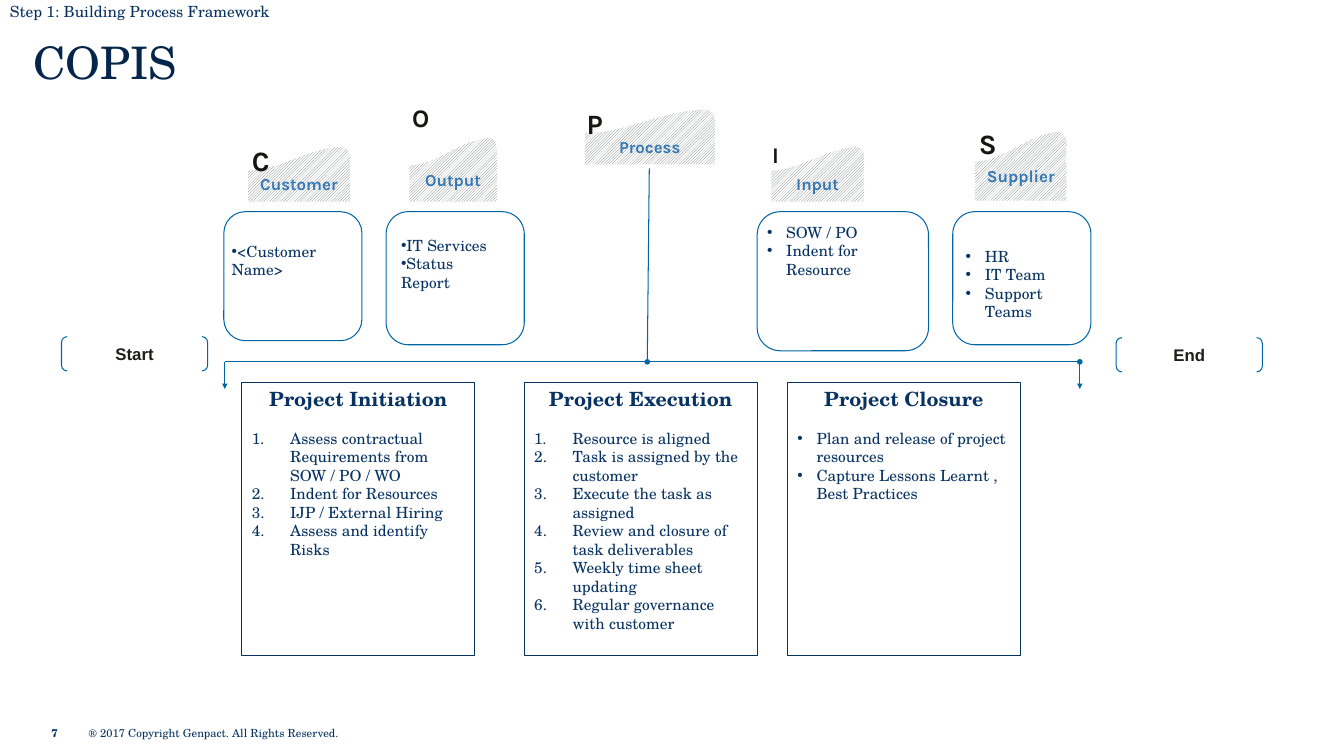
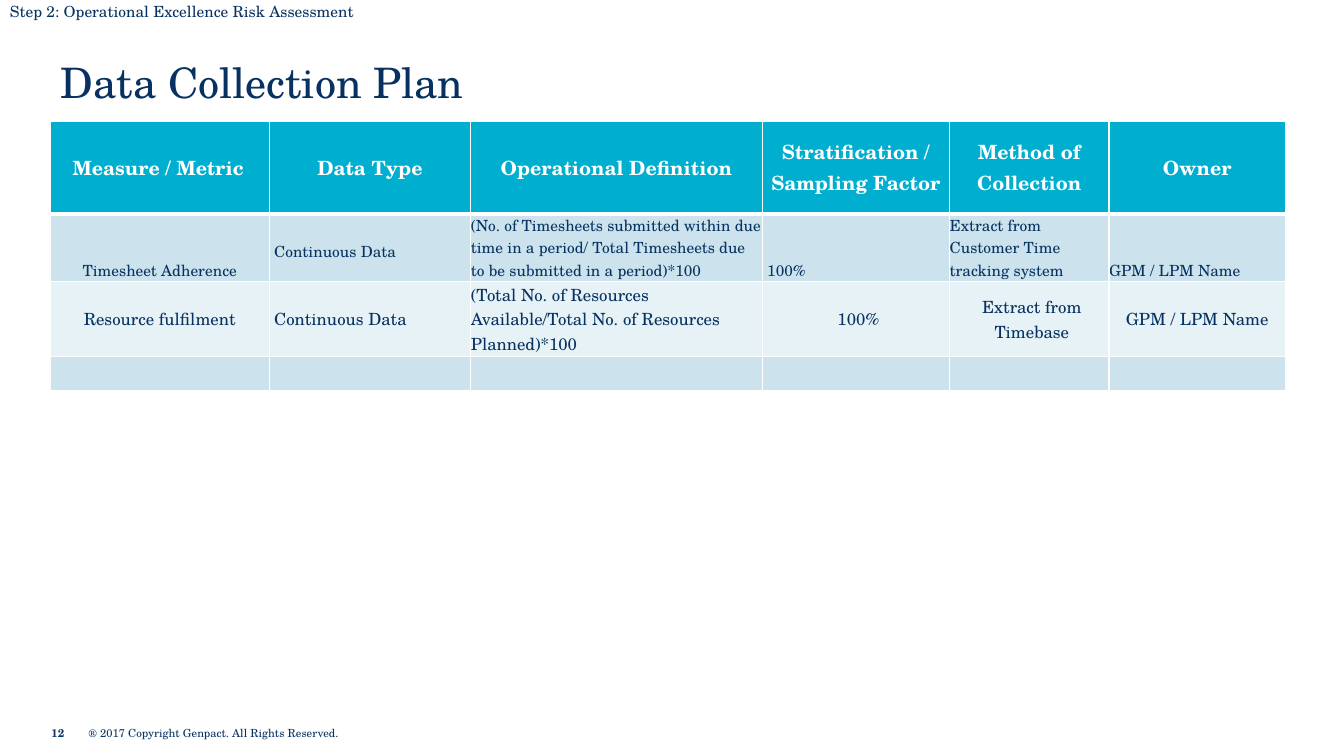
from lxml.etree import SubElement
from pptx import Presentation
from pptx.dml.color import RGBColor
from pptx.enum.dml import MSO_PATTERN
from pptx.enum.shapes import MSO_CONNECTOR, MSO_SHAPE
from pptx.enum.text import MSO_ANCHOR as Anchor, MSO_AUTO_SIZE, PP_ALIGN as Align
from pptx.oxml.ns import qn
from pptx.util import Inches, Pt

# Shared style
COLORS = {
    "navy": "073262", "title": "05254A", "plan_title": "063161",
    "line": "0067A6", "label": "3478B6", "letter": "161614", "black": "1D1D1B",
    "hatch": "747778", "white": "FFFFFF", "header": "00AECF",
    "band": "CCE3ED", "light": "E7F2F6",
}
SERIF, SANS, LABEL = "TeX Gyre Schola", "Arial", "Karla"
WIDTH, HEIGHT = 13.33, 7.5
INSETS = (0.1, 0.05, 0.1, 0.05)
COPYRIGHT = "® 2017 Copyright Genpact. All Rights Reserved."

# Slide 1 content: letter, its size and place, label, tab box
TABS = [
    ("C", 20, (2.4, 1.37), "Customer", (2.46, 1.46, 1.01, 0.54)),
    ("O", 18, (3.99, 0.97), "Output", (4.06, 1.37, 0.87, 0.63)),
    ("P", 20, (5.72, 1.01), "Process", (5.8, 1.09, 1.29, 0.54)),
    ("I", 16, (7.56, 1.35), "Input", (7.65, 1.46, 0.92, 0.54)),
    ("S", 20, (9.61, 1.21), "Supplier", (9.67, 1.31, 0.91, 0.68)),
]
# Card box, text box, bullet indent, items
CARDS = [
    ((2.22, 2.1, 1.37, 1.28), (2.2, 2.35, 1.39, 0.47), 0, ["<Customer Name>"]),
    ((3.83, 2.1, 1.37, 1.32), (3.88, 2.29, 1.1, 0.66), 0,
     ["IT Services", "Status Report"]),
    ((7.51, 2.1, 1.7, 1.38), (7.51, 2.16, 1.7, 0.66), 0.19,
     ["SOW / PO", "Indent for Resource"]),
    ((9.45, 2.1, 1.37, 1.32), (9.48, 2.4, 1.35, 0.84), 0.19,
     ["HR", "IT Team", "Support Teams"]),
]
# Left edge, heading, numbered or not, items
PHASES = [
    (2.4, "Project Initiation", True, [
        "Assess contractual Requirements from SOW / PO / WO",
        "Indent for Resources", "IJP / External Hiring",
        "Assess and identify Risks"]),
    (5.2, "Project Execution", True, [
        "Resource is aligned", "Task is assigned by the customer",
        "Execute the task as assigned",
        "Review and closure of task deliverables",
        "Weekly time sheet updating", "Regular governance with customer"]),
    (7.81, "Project Closure", False, [
        "Plan and release of project resources",
        "Capture Lessons Learnt , Best Practices"]),
]
ENDS = [("Start", 0.61, 3.34), ("End", 11.07, 3.35)]
AXIS_LEFT, AXIS_RIGHT, AXIS_Y = 2.23, 10.71, 3.59
# From, to, head, tail
LINES = [
    ((6.44, 1.67), (6.42, AXIS_Y), None, "oval"),
    ((AXIS_RIGHT, AXIS_Y), (AXIS_LEFT, AXIS_Y), "oval", None),
    ((AXIS_LEFT, AXIS_Y), (AXIS_LEFT, 3.86), None, "triangle"),
    ((AXIS_RIGHT, AXIS_Y), (AXIS_RIGHT, 3.86), None, "triangle"),
]

# Slide 2 content
PLAN = [
    ["Measure / Metric", "Data Type", "Operational Definition",
     "Stratification / Sampling Factor", "Method of Collection", "Owner"],
    ["Timesheet Adherence", "Continuous Data",
     "(No. of Timesheets submitted within due time in a period/ Total "
     "Timesheets due to be submitted in a period)*100",
     "100%", "Extract from Customer Time tracking system", "GPM / LPM Name"],
    ["Resource fulfilment", "Continuous Data",
     "(Total No. of Resources Available/Total No. of Resources Planned)*100",
     "100%", "Extract from Timebase", "GPM / LPM Name"],
    [""] * 6,
]
COLUMN_WIDTHS = [2.17, 2, 2.89, 1.86, 1.58, 1.75]
# Height, fill, text colour, size, anchor, alignment per column
ROW_STYLES = [
    (0.92, "header", "white", 14, Anchor.MIDDLE, "lccccc"),
    (0.67, "band", "navy", 11, Anchor.BOTTOM, "clllll"),
    (0.74, "light", "navy", 12, Anchor.MIDDLE, "cllccc"),
    (0.34, "band", "navy", 11, Anchor.MIDDLE, "llllll"),
]
# Cell (row, column): left and bottom margin
CELL_MARGINS = {(0, 0): (0.22, 0), (1, 1): (0.05, 0.19), (1, 3): (0.05, 0),
                (2, 1): (0.05, 0), (2, 3): (0.05, 0), (2, 4): (0.05, 0)}


def rgb(name):
    return RGBColor.from_string(COLORS[name])


def inches(values):
    return [Inches(value) for value in values]


def add_text(paragraph, text, size, color="navy", font=SERIF, bold=False):
    run = paragraph.add_run()
    run.text = text
    run.font.size, run.font.name, run.font.bold = Pt(size), font, bold
    run.font.color.rgb = rgb(color)


def set_frame(shape, anchor=Anchor.TOP, insets=INSETS):
    frame = shape.text_frame
    frame.word_wrap, frame.auto_size = True, MSO_AUTO_SIZE.NONE
    frame.vertical_anchor = anchor
    (frame.margin_left, frame.margin_top,
     frame.margin_right, frame.margin_bottom) = inches(insets)
    return frame


def add_box(slide, box, text, size, color="navy", font=SERIF, bold=False,
            anchor=Anchor.TOP, insets=INSETS):
    shape = slide.shapes.add_textbox(*inches(box))
    paragraph = set_frame(shape, anchor, insets).paragraphs[0]
    add_text(paragraph, text, size, color, font, bold)


def add_outline(slide, kind, box, color):
    shape = slide.shapes.add_shape(kind, *inches(box))
    shape.shadow.inherit = False
    shape.fill.background()
    shape.line.color.rgb, shape.line.width = rgb(color), Pt(0.75)
    return shape


def add_item(paragraph, text, indent, numbered=False):
    properties = paragraph._p.get_or_add_pPr()
    properties.set("marL", str(Inches(indent)))
    properties.set("indent", str(-Inches(indent)))
    if numbered:
        SubElement(properties, qn("a:buAutoNum"), type="arabicPeriod")
    else:
        SubElement(properties, qn("a:buFont"), typeface=SANS)
        SubElement(properties, qn("a:buChar"), char="•")
    paragraph.alignment = Align.LEFT
    add_text(paragraph, text, 11)


def add_line(slide, start, end, head, tail):
    connector = slide.shapes.add_connector(
        MSO_CONNECTOR.STRAIGHT, *inches(start + end))
    connector.line.color.rgb, connector.line.width = rgb("line"), Pt(0.75)
    properties = connector._element.spPr
    line = properties.find(qn("a:ln"))
    for tag, kind in (("a:headEnd", head), ("a:tailEnd", tail)):
        if kind:
            SubElement(line, qn(tag), type=kind, w="sm", len="sm")
    SubElement(properties, qn("a:effectLst"))


def bend(segment, controls, width, height):
    """Turn a straight segment into a cubic curve."""
    segment.tag = qn("a:cubicBezTo")
    for index, (x, y) in enumerate(controls):
        point = SubElement(segment, qn("a:pt"), x=str(Inches(x * width)),
                           y=str(Inches(y * height)))
        segment.insert(index, point)


def add_tab(slide, box, label):
    left, top, width, height = box
    # Outline in shares of the box: sloping top, rounded corner, flat base
    shoulder = 0.43
    outline = [(0.92, 0), (1, 0.17), (1, 1), (0, 1)]
    builder = slide.shapes.build_freeform(
        Inches(left), Inches(top + shoulder * height))
    builder.add_line_segments(
        [inches((left + x * width, top + y * height)) for x, y in outline],
        close=True)
    shape = builder.convert_to_shape()
    segments = list(shape._element.iter(qn("a:lnTo")))
    bend(segments[0], [(0.31, shoulder), (0.61, 0)], width, height)
    bend(segments[1], [(0.96, 0), (1, 0.07)], width, height)
    shape.shadow.inherit = False
    shape.fill.patterned()
    shape.fill.pattern = MSO_PATTERN.LIGHT_UPWARD_DIAGONAL
    shape.fill.fore_color.rgb = rgb("hatch")
    shape.fill.back_color.rgb = rgb("white")
    shape.line.fill.background()
    paragraph = set_frame(shape, Anchor.MIDDLE, (0, 0.24, 0, 0.05)).paragraphs[0]
    paragraph.alignment = Align.CENTER
    add_text(paragraph, label, 12, "label", LABEL, True)


def start_slide(presentation, step, title, title_box, size, color, number):
    slide = presentation.slides.add_slide(presentation.slide_layouts[5])
    shape = slide.shapes.title
    shape.left, shape.top, shape.width, shape.height = inches(title_box)
    paragraph = set_frame(shape, Anchor.MIDDLE).paragraphs[0]
    paragraph.alignment = Align.LEFT
    add_text(paragraph, title, size, color)
    add_box(slide, (0, 0, 5.44, 0.27), step, 11, insets=(0.1, 0.02, 0.1, 0.05))
    # Footer
    for left, width, text, bold in ((0.51, 0.35, number, True),
                                    (0.88, 2.58, COPYRIGHT, False)):
        add_box(slide, (left, 7.15, width, 0.24), text, 8, bold=bold,
                anchor=Anchor.MIDDLE, insets=(0, 0, 0, 0))
    return slide


def build_copis(presentation):
    slide = start_slide(presentation, "Step 1: Building Process Framework",
                        "COPIS", (0.23, 0.29, 10.78, 0.64), 32, "title", "7")
    for line in LINES:
        add_line(slide, *line)
    for letter, size, place, label, box in TABS:
        add_tab(slide, box, label)
        add_box(slide, place + (0.45, 0.4), letter, size, "letter", LABEL, True)
    for box, text_box, indent, items in CARDS:
        add_outline(slide, MSO_SHAPE.ROUNDED_RECTANGLE, box, "line")
        frame = set_frame(slide.shapes.add_textbox(*inches(text_box)))
        for index, item in enumerate(items):
            paragraph = frame.add_paragraph() if index else frame.paragraphs[0]
            add_item(paragraph, item, indent)
    for text, left, top in ENDS:
        shape = add_outline(slide, MSO_SHAPE.DOUBLE_BRACKET,
                            (left, top, 1.45, 0.34), "line")
        paragraph = set_frame(shape, Anchor.MIDDLE).paragraphs[0]
        paragraph.alignment = Align.CENTER
        add_text(paragraph, text, 12, "black", SANS, True)
    # Project phases
    for left, heading, numbered, items in PHASES:
        shape = add_outline(slide, MSO_SHAPE.RECTANGLE,
                            (left, 3.79, 2.31, 2.71), "navy")
        frame = set_frame(shape)
        paragraph = frame.paragraphs[0]
        paragraph.alignment, paragraph.space_after = Align.CENTER, Pt(13.2)
        add_text(paragraph, heading, 14, bold=True)
        for item in items:
            add_item(frame.add_paragraph(), item,
                     0.38 if numbered else 0.19, numbered)


def set_borders(cell, row):
    properties = cell._tc.get_or_add_tcPr()
    widths = {"lnL": 1, "lnR": 1, "lnT": 3 if row == 1 else 1,
              "lnB": 3 if row == 0 else 1}
    for index, (tag, width) in enumerate(widths.items()):
        line = SubElement(properties, qn("a:" + tag), w=str(Pt(width)))
        fill = SubElement(line, qn("a:solidFill"))
        SubElement(fill, qn("a:srgbClr"), val=COLORS["white"])
        properties.insert(index, line)


def build_plan(presentation):
    slide = start_slide(
        presentation, "Step 2: Operational Excellence Risk Assessment",
        "Data Collection Plan", (0.5, 0.52, 7.91, 0.58), 30, "plan_title", "12")
    heights = [style[0] for style in ROW_STYLES]
    table = slide.shapes.add_table(
        len(PLAN), len(COLUMN_WIDTHS),
        *inches((0.5, 1.2, sum(COLUMN_WIDTHS), sum(heights)))).table
    for column, width in zip(table.columns, COLUMN_WIDTHS):
        column.width = Inches(width)
    for row, (texts, style) in enumerate(zip(PLAN, ROW_STYLES)):
        height, fill, color, size, anchor, alignments = style
        table.rows[row].height = Inches(height)
        for column, text in enumerate(texts):
            cell = table.cell(row, column)
            cell.fill.solid()
            cell.fill.fore_color.rgb = rgb(fill)
            set_borders(cell, row)
            left, bottom = CELL_MARGINS.get((row, column), (0, 0))
            cell.margin_left, cell.margin_bottom = inches((left, bottom))
            cell.margin_top = cell.margin_right = 0
            cell.vertical_anchor = anchor
            if text:
                paragraph = cell.text_frame.paragraphs[0]
                paragraph.alignment = (
                    Align.CENTER if alignments[column] == "c" else Align.LEFT)
                add_text(paragraph, text, size, color, bold=row == 0)


def main():
    presentation = Presentation()
    presentation.slide_width, presentation.slide_height = inches((WIDTH, HEIGHT))
    build_copis(presentation)
    build_plan(presentation)
    presentation.save("out.pptx")


if __name__ == "__main__":
    main()
